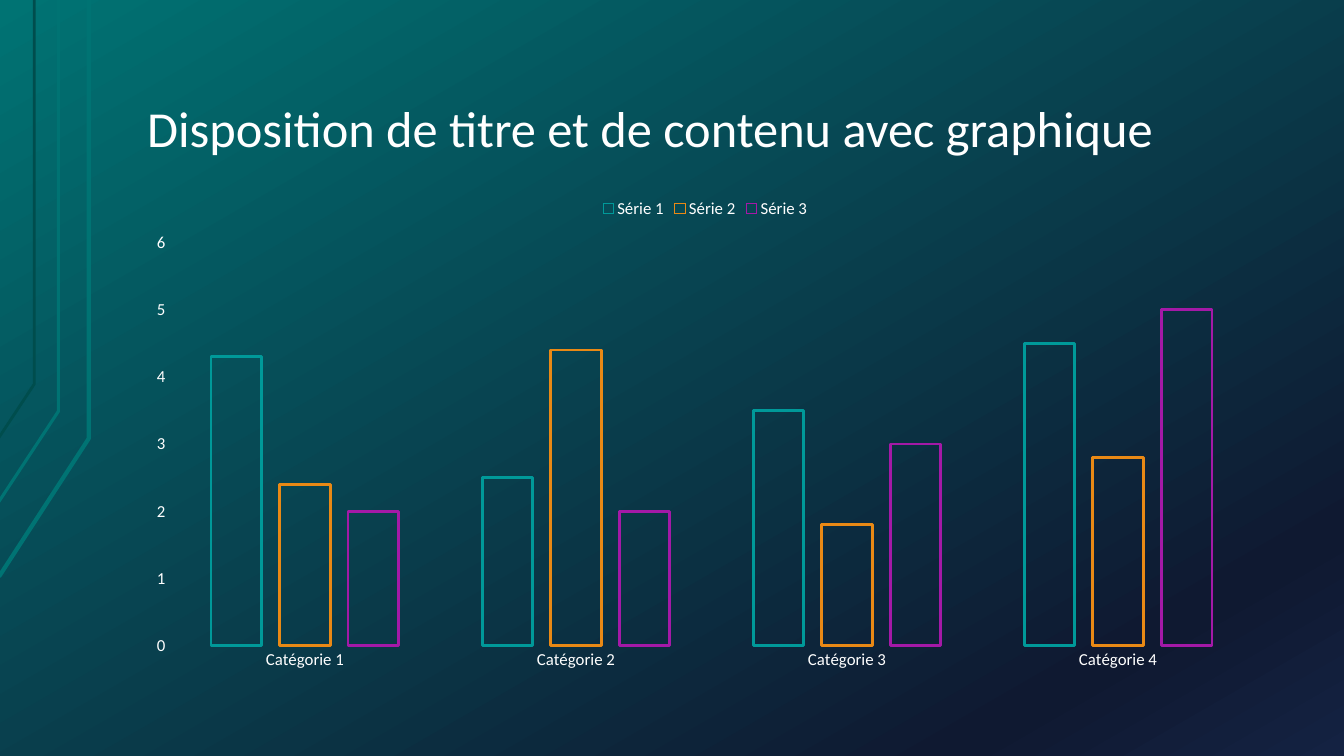
from lxml.etree import SubElement
from pptx import Presentation
from pptx.chart.data import CategoryChartData
from pptx.dml.color import RGBColor
from pptx.enum.chart import XL_CHART_TYPE as ChartType, XL_LEGEND_POSITION as LegendPosition, XL_TICK_MARK as TickMark
from pptx.enum.text import MSO_ANCHOR as Anchor, MSO_AUTO_SIZE as AutoSize, PP_ALIGN as Align
from pptx.oxml.ns import qn
from pptx.util import Inches, Pt

FONT = "Calibri"
WHITE = "FFFFFF"
BACKGROUND_STOPS = [(0, "007373"), (85, "0F1931"), (100, "142242")]
CIRCUIT_LINES = [
    ([(-0.01, 5.72), (0.88, 4.35), (0.88, 0)], "007373", 3),
    ([(-0.02, 4.99), (0.58, 4.08), (0.58, 0)], "007373", 2.25),
    ([(-0.01, 4.34), (0.34, 3.81), (0.34, 0)], "004D4D", 2),
]
CATEGORIES = ["Catégorie 1", "Catégorie 2", "Catégorie 3", "Catégorie 4"]
SERIES = [
    ("Série 1", [4.3, 2.5, 3.5, 4.5], "009999"),
    ("Série 2", [2.4, 4.4, 1.8, 2.8], "E98915"),
    ("Série 3", [2, 2, 3, 5], "A419A7"),
]


def color(hex_code):
    """Return the colour for a hex string."""
    return RGBColor.from_string(hex_code)


def style_font(font, size):
    """Apply the slide's white typeface at the given size."""
    font.name = FONT
    font.size = Pt(size)
    font.color.rgb = color(WHITE)


def style_outline(item, hex_code, width):
    """Leave an item unfilled with a coloured outline."""
    item.fill.background()
    item.line.color.rgb = color(hex_code)
    item.line.width = Pt(width)


def paint_background(slide):
    """Fill the slide with the diagonal three-stop gradient."""
    fill = slide.background.fill
    fill.gradient()
    fill.gradient_angle = 300
    stop_list = next(slide.background._cSld.iter(qn("a:gsLst")))
    for stop in list(stop_list):
        stop_list.remove(stop)
    for position, hex_code in BACKGROUND_STOPS:
        stop = SubElement(stop_list, qn("a:gs"), pos=str(position * 1000))
        SubElement(stop, qn("a:srgbClr"), val=hex_code)


def add_circuit_line(slide, points, hex_code, width):
    """Draw one open decorative line through the points."""
    start, *rest = [(Inches(x), Inches(y)) for x, y in points]
    builder = slide.shapes.build_freeform(*start)
    builder.add_line_segments(rest, close=False)
    shape = builder.convert_to_shape()
    shape.shadow.inherit = False
    style_outline(shape, hex_code, width)


def set_title(slide, text):
    """Place and format the title placeholder."""
    title = slide.shapes.title
    title.left, title.top = Inches(1.33), Inches(0.3)
    title.width, title.height = Inches(11.33), Inches(1.34)
    frame = title.text_frame
    frame.text = text
    frame.auto_size = AutoSize.NONE
    frame.word_wrap = True
    frame.vertical_anchor = Anchor.BOTTOM
    frame.margin_left = frame.margin_right = Inches(0.13)
    frame.margin_top = frame.margin_bottom = Inches(0.07)
    para = frame.paragraphs[0]
    para.alignment = Align.LEFT
    para.line_spacing = 0.9
    style_font(para.runs[0].font, 36)


def style_axis(axis):
    """Show only the labels of an axis."""
    axis.has_major_gridlines = False
    axis.major_tick_mark = axis.minor_tick_mark = TickMark.NONE
    axis.format.line.fill.background()
    style_font(axis.tick_labels.font, 12)


def add_column_chart(slide):
    """Add the clustered chart with outlined columns."""
    data = CategoryChartData()
    data.categories = CATEGORIES
    for name, values, _ in SERIES:
        data.add_series(name, values)
    frame = slide.shapes.add_chart(
        ChartType.COLUMN_CLUSTERED, Inches(1.33), Inches(1.86), Inches(11.33), Inches(4.88), data
    )
    chart = frame.chart
    style_font(chart.font, 10)
    chart.has_title = False
    chart.has_legend = True
    chart.legend.position = LegendPosition.TOP
    chart.legend.include_in_layout = False
    style_font(chart.legend.font, 12)
    style_axis(chart.category_axis)
    style_axis(chart.value_axis)
    plot = chart.plots[0]
    plot.vary_by_categories = False
    plot.gap_width = 164
    plot.overlap = -35
    for series, (_, _, hex_code) in zip(plot.series, SERIES):
        style_outline(series.format, hex_code, 2)


def main():
    """Build the chart slide and save the deck."""
    deck = Presentation()
    deck.slide_width, deck.slide_height = Inches(13.33), Inches(7.5)
    slide = deck.slides.add_slide(deck.slide_layouts[5])
    paint_background(slide)
    for points, hex_code, width in CIRCUIT_LINES:
        add_circuit_line(slide, points, hex_code, width)
    set_title(slide, "Disposition de titre et de contenu avec graphique")
    add_column_chart(slide)
    deck.save("out.pptx")


if __name__ == "__main__":
    main()
